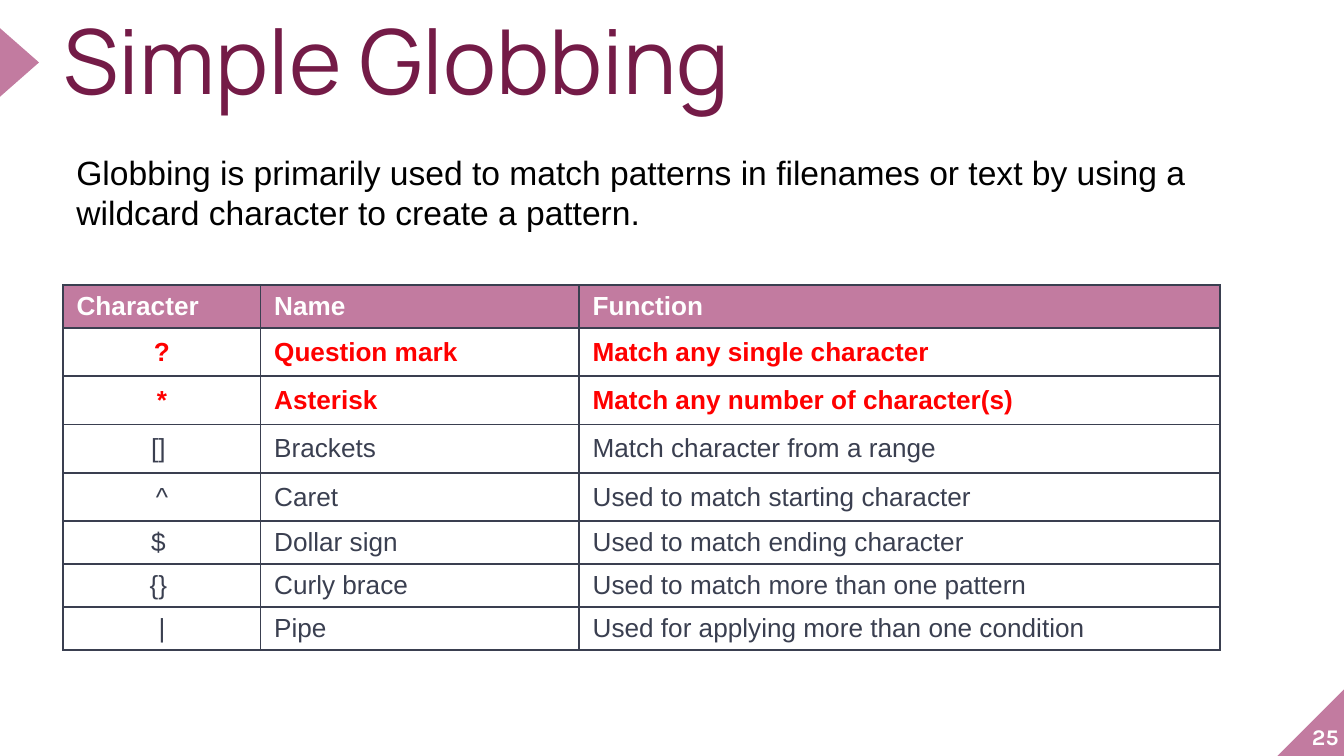
from pptx import Presentation, util as u
from pptx.dml.color import RGBColor
from pptx.enum import shapes, text
from pptx.oxml import parse_xml
from pptx.oxml.ns import nsdecls

THEME = {
    "pink": RGBColor.from_string("C27BA0"),
    "plum": RGBColor.from_string("741B47"),
    "ink": RGBColor.from_string("3A3F50"),
    "red": RGBColor.from_string("FF0000"),
    "black": RGBColor.from_string("000000"),
    "white": RGBColor.from_string("FFFFFF"),
    "title": u.Pt(48), "body": u.Pt(18), "cell": u.Pt(14), "number": u.Pt(12),
}
LEFT, CENTER, RIGHT = text.PP_ALIGN.LEFT, text.PP_ALIGN.CENTER, text.PP_ALIGN.RIGHT


def write(tf, words, color, align=LEFT, **fmt):
    """Fill the first paragraph of a text frame and format it."""
    p = tf.paragraphs[0]
    p.alignment = align
    r = p.add_run()
    r.text = words
    r.font.color.rgb = THEME[color]
    for name, value in fmt.items():
        setattr(r.font, name, value)
    return p


def set_frame(tf, anchor, margin_x, margin_y):
    values = {
        "word_wrap": True, "auto_size": text.MSO_AUTO_SIZE.NONE,
        "vertical_anchor": anchor,
        "margin_left": margin_x, "margin_right": margin_x,
        "margin_top": margin_y, "margin_bottom": margin_y,
    }
    for name, value in values.items():
        setattr(tf, name, value)


# Widescreen slide, 16:9
prs = Presentation()
prs.slide_width = u.Inches(10)
prs.slide_height = u.Inches(10) * 9 // 16
s = prs.slides.add_slide(prs.slide_layouts[5])

# Corner and title marker triangles
corner = s.shapes.add_shape(shapes.MSO_SHAPE.RIGHT_TRIANGLE, u.Inches(9.5),
                            u.Inches(5.12), u.Inches(0.51), u.Inches(0.51))
corner._element.spPr.xfrm.set("flipH", "1")
marker = s.shapes.add_shape(shapes.MSO_SHAPE.ISOSCELES_TRIANGLE, u.Inches(-0.11),
                            u.Inches(0.32), u.Inches(0.51), u.Inches(0.29))
marker.rotation = 90
for sp in (corner, marker):
    sp.shadow.inherit = False
    sp.fill.solid()
    sp.fill.fore_color.rgb = THEME["pink"]
    sp.line.fill.background()

# Slide number
sp = s.shapes.add_textbox(u.Inches(9.46), u.Inches(5.07), u.Inches(0.5), u.Inches(0.51))
set_frame(sp.text_frame, text.MSO_ANCHOR.BOTTOM, 0, 0)
write(sp.text_frame, "25", "white", RIGHT, size=THEME["number"], name="Karla", bold=True)

# Title
title = s.shapes.title
title.left, title.top = u.Inches(0.47), u.Inches(0.19)
title.width, title.height = u.Inches(7.3), u.Inches(0.69)
set_frame(title.text_frame, text.MSO_ANCHOR.TOP, 0, 0)
p = write(title.text_frame, "Simple Globbing", "plum", size=THEME["title"], name="Manrope")
p.line_spacing = 0.8

# Introduction
sp = s.shapes.add_textbox(u.Inches(0.47), u.Inches(1.08), u.Inches(8.99), u.Inches(1.01))
set_frame(sp.text_frame, text.MSO_ANCHOR.TOP, u.Inches(0.1), u.Inches(0.05))
write(sp.text_frame, "Globbing is primarily used to match patterns in filenames or text "
      "by using a wildcard character to create a pattern.", "black",
      size=THEME["body"], name="Arial")

# Table of wildcard characters
rows = [
    ("Character", "Name", "Function"),
    ("?", "Question mark", "Match any single character"),
    ("*", "Asterisk", "Match any number of character(s)"),
    ("[] ", "Brackets", "Match character from a range"),
    ("^", "Caret", "Used to match starting character"),
    ("$ ", "Dollar sign", "Used to match ending character"),
    ("{} ", "Curly brace", "Used to match more than one pattern"),
    ("|", "Pipe", "Used for applying more than one condition"),
]
col_widths = (1.47, 2.37, 4.77)
# The short rows grow to fit their text
row_heights = [0.24] + [0.36] * 4 + [0.24] * 3
frame = s.shapes.add_table(len(rows), len(col_widths), u.Inches(0.47), u.Inches(2.12),
                           u.Inches(8.6), u.Inches(2.76))
table = frame.table
table.horz_banding = False
for col, width in zip(table.columns, col_widths):
    col.width = u.Inches(width)

for i, (row, height) in enumerate(zip(rows, row_heights)):
    table.rows[i].height = u.Inches(height)
    color = "white" if i == 0 else "red" if i < 3 else "ink"
    for j, words in enumerate(row):
        cell = table.cell(i, j)
        cell.vertical_anchor = text.MSO_ANCHOR.MIDDLE
        cell.margin_left = cell.margin_right = u.Inches(0.1)
        cell.margin_top = cell.margin_bottom = u.Inches(0.05)
        write(cell.text_frame, words, color, CENTER if i and j == 0 else LEFT,
              size=THEME["cell"], name="Arial", bold=i < 3)
        # Borders come before the fill in the cell properties
        for side in ("lnL", "lnR", "lnT", "lnB"):
            cell._tc.get_or_add_tcPr().append(parse_xml(
                f'<a:{side} {nsdecls("a")} w="{u.Pt(1)}"><a:solidFill>'
                f'<a:srgbClr val="{THEME["ink"]}"/></a:solidFill></a:{side}>'))
        if i == 0:
            cell.fill.solid()
            cell.fill.fore_color.rgb = THEME["pink"]
        else:
            cell.fill.background()
frame.height = u.Inches(2.76)

prs.save("out.pptx")
